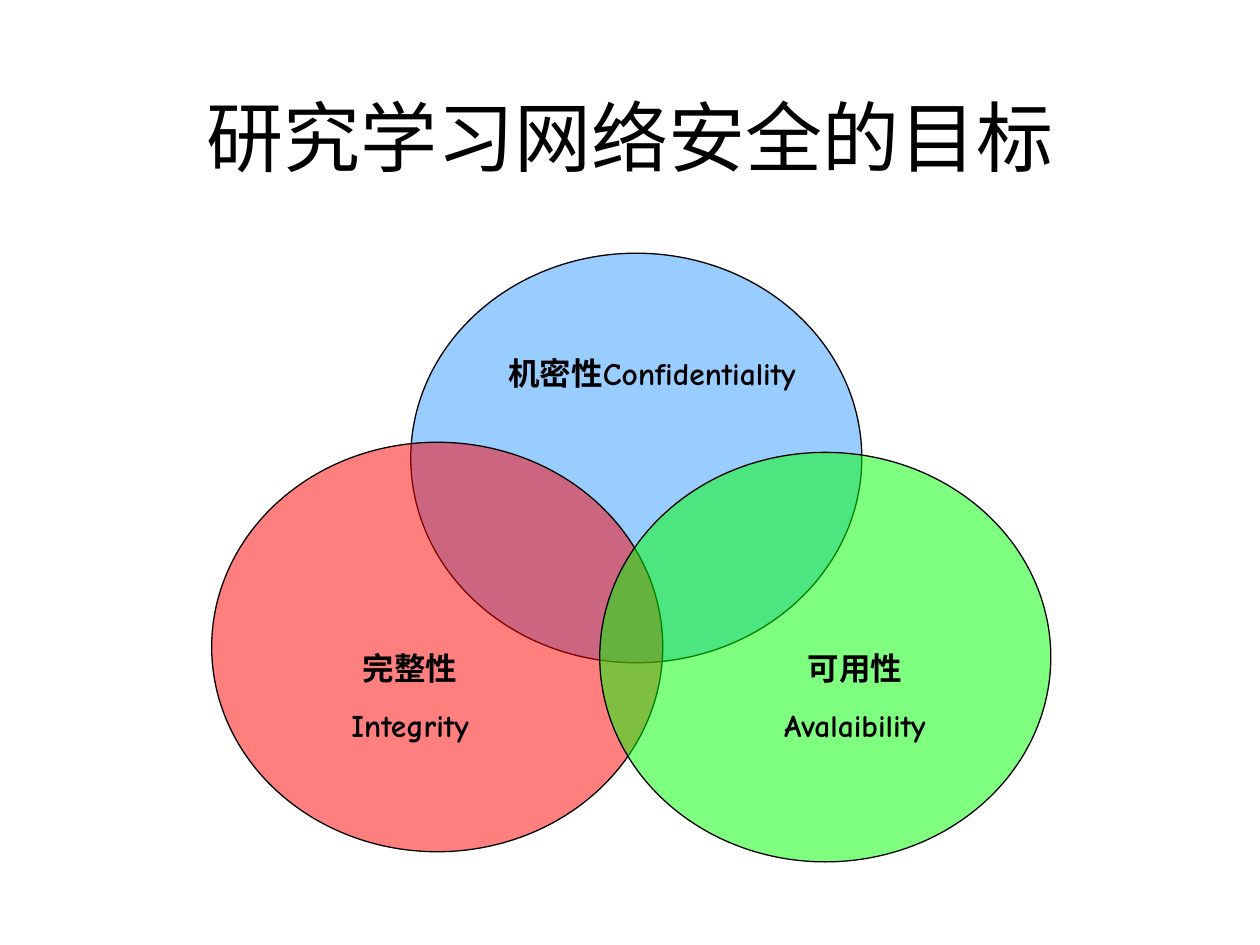
"""Build a slide with a three-circle diagram of network security goals."""
from dataclasses import dataclass
from lxml.etree import SubElement
from pptx import Presentation
from pptx.dml.color import RGBColor as Rgb
from pptx.enum.shapes import MSO_SHAPE as Shape
from pptx.enum.text import MSO_ANCHOR as Anchor, MSO_AUTO_SIZE as Fit, PP_ALIGN as Align
from pptx.oxml.ns import qn
from pptx.util import Pt


@dataclass(frozen=True)
class Theme:
    font: str = "Comic Neue"
    ink: str = "000000"
    paper: str = "FFFFFF"
    head: int = 44
    label: int = 18
    gap: float = 11.2
    line: float = 0.75


THEME = Theme()
TITLE = "研究学习网络安全的目标"
HEAD_BOX = (54, 32.4, 612, 90)
DISC = (257.76, 234)
DISCS = [
    ((234.72, 144.72), "99CCFF", 100),
    ((120.96, 252.72), "FF0000", 50),
    ((342.72, 258.48), "00FF00", 50),
]
LABELS = [
    ((156.24, 367.2, 156.24, 61.92), ["完整性", "Integrity"]),
    ((276.48, 198.72, 192.24, 28.8), ["机密性Confidentiality"]),
    ((407.52, 367.2, 162, 61.92), ["可用性", "Avalaibility"]),
]


def points(box):
    return [Pt(v) for v in box]


def write(frame, lines, size, bold):
    frame.word_wrap = True
    for i, line in enumerate(lines):
        para = frame.add_paragraph() if i else frame.paragraphs[0]
        para.alignment = Align.CENTER
        para.space_before = Pt(THEME.gap if i else 0)
        run = para.add_run()
        run.text = line
        font = run.font
        font.name, font.size, font.bold = THEME.font, Pt(size), bold
        font.color.rgb = Rgb.from_string(THEME.ink)


def add_disc(slide, spot, color, alpha):
    disc = slide.shapes.add_shape(Shape.OVAL, *points(spot + DISC))
    disc.shadow.inherit = False
    disc.fill.solid()
    disc.fill.fore_color.rgb = Rgb.from_string(color)
    if alpha < 100:
        tint = disc.fill._xPr.find(qn("a:solidFill"))[0]
        SubElement(tint, qn("a:alpha")).set("val", str(alpha * 1000))
    disc.line.color.rgb = Rgb.from_string(THEME.ink)
    disc.line.width = Pt(THEME.line)


def main():
    deck = Presentation()
    deck.slide_width, deck.slide_height = Pt(720), Pt(540)
    slide = deck.slides.add_slide(deck.slide_layouts[5])
    slide.background.fill.solid()
    slide.background.fill.fore_color.rgb = Rgb.from_string(THEME.paper)

    title = slide.shapes.title
    title.left, title.top, title.width, title.height = points(HEAD_BOX)
    title.text_frame.vertical_anchor = Anchor.MIDDLE
    title.text_frame.auto_size = Fit.NONE
    write(title.text_frame, [TITLE], THEME.head, False)

    for spot, color, alpha in DISCS:
        add_disc(slide, spot, color, alpha)
    for box, lines in LABELS:
        frame = slide.shapes.add_textbox(*points(box)).text_frame
        frame.auto_size = Fit.SHAPE_TO_FIT_TEXT
        write(frame, lines, THEME.label, True)

    deck.save("out.pptx")


if __name__ == "__main__":
    main()
